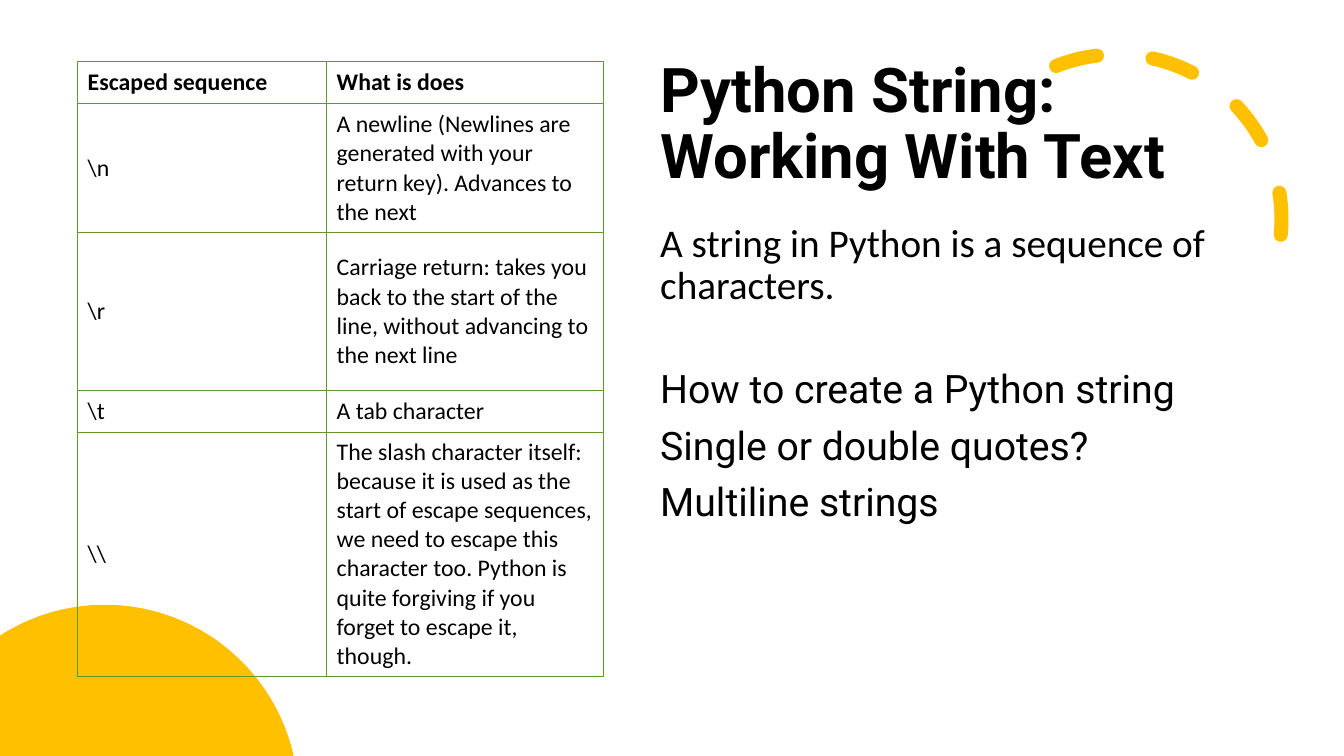
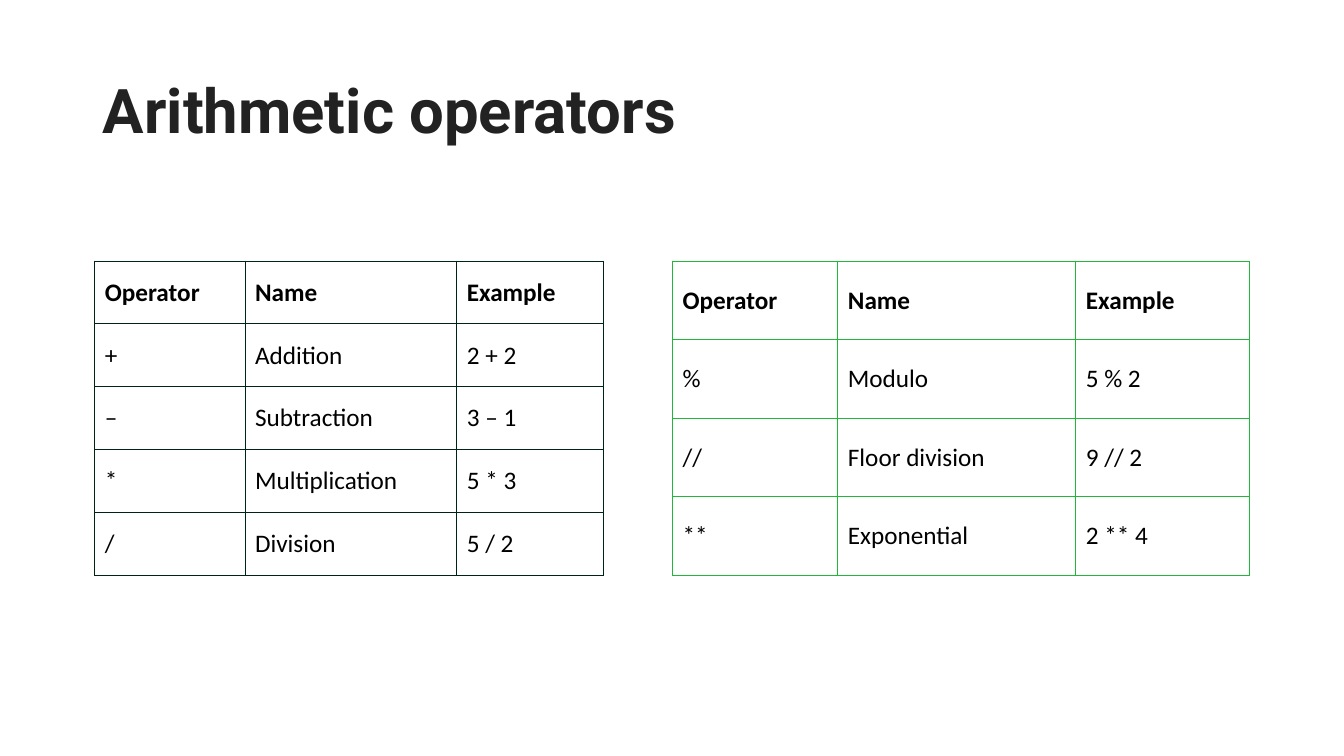
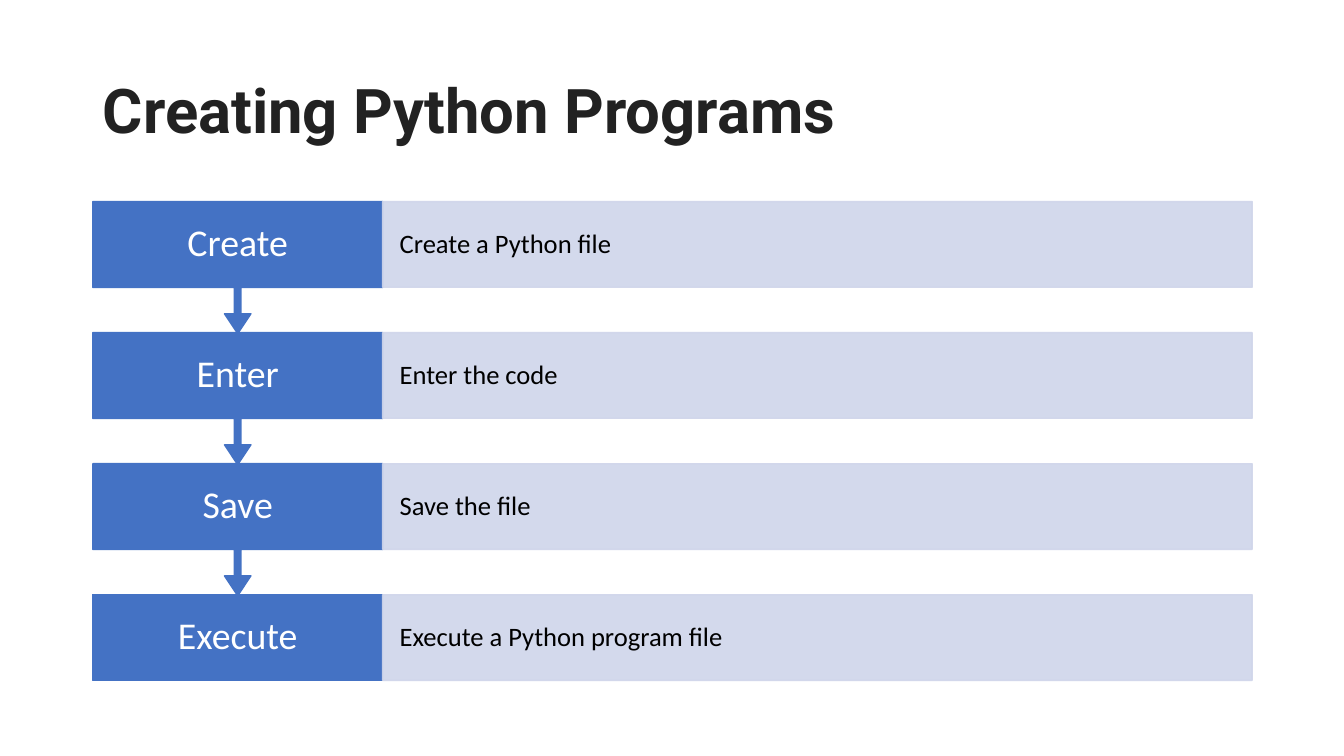
import math
import pptx
import pptx.util
import pptx.dml.color
import pptx.enum.dml
import pptx.enum.shapes
import pptx.enum.text
import pptx.oxml
import pptx.oxml.ns

Inch = pptx.util.Inches
Kind = pptx.enum.shapes.MSO_SHAPE
Align = pptx.enum.text.PP_ALIGN
Anchor = pptx.enum.text.MSO_ANCHOR
qn = pptx.oxml.ns.qn

# Shared look
WIDE, HIGH = 13.33, 7.5
EDGE, SPAN = 0.92, 11.5
HEAD, BODY = "Roboto", "Calibri"
BLACK, DARK, WHITE = "000000", "222222", "FFFFFF"
GOLD, BLUE, PALE = "FFC000", "4472C4", "CFD5EA"

# Content
INTRO = "Python String: Working With Text"
POINTS = [
    ("A string in Python is a sequence of characters.", BODY, 10),
    ("How to create a Python string", HEAD, 44),
    ("Single or double quotes?", HEAD, 10),
    ("Multiline strings", HEAD, 10),
]
ESCAPES = {
    "at": (0.77, 0.61), "cols": (2.47, 2.75), "size": 17, "edge": "60982B",
    "rows": (0.42, 1.28, 1.56, 0.42, 2.42),
    "cells": [
        ("Escaped sequence", "What is does"),
        ("\\n", "A newline (Newlines are generated with your return key). "
                "Advances to the next"),
        ("\\r", "Carriage return: takes you back to the start of the line, "
                "without advancing to the next line"),
        ("\\t", "A tab character"),
        ("\\\\", "The slash character itself: because it is used as the start "
                 "of escape sequences, we need to escape this character too. "
                 "Python is quite forgiving if you forget to escape it, though."),
    ],
}
FIELDS = ("Operator", "Name", "Example")
BASIC = {
    "at": (0.94, 2.59), "cols": (1.49, 2.1, 1.46), "size": 18,
    "edge": "002414", "rows": [3.12 / 5] * 5,
    "cells": [
        FIELDS,
        ("+", "Addition", "2 + 2"),
        ("–", "Subtraction", "3 – 1"),
        ("*", "Multiplication", "5 * 3"),
        ("/", "Division", "5 / 2"),
    ],
}
EXTRA = {
    "at": (6.67, 2.59), "cols": (1.64, 2.36, 1.72), "size": 18,
    "edge": "20B73A", "rows": [3.12 / 4] * 4,
    "cells": [
        FIELDS,
        ("%", "Modulo", "5 % 2"),
        ("//", "Floor division", "9 // 2"),
        ("**", "Exponential", "2 ** 4"),
    ],
}
STEPS = [
    ("Create", "Create a Python file"),
    ("Enter", "Enter the code"),
    ("Save", "Save the file"),
    ("Execute", "Execute a Python program file"),
]


# Helpers
def tint(code):
    return pptx.dml.color.RGBColor.from_string(code)


def write(frame, text, size=18, font=BODY, color=BLACK, bold=False,
          align=Align.LEFT, anchor=Anchor.MIDDLE, lead=0.9, before=0,
          pad=None, more=False):
    """Put one paragraph in a text frame; more=True adds it after the others."""
    frame.word_wrap = True
    frame.vertical_anchor = anchor
    if pad:
        frame.margin_left = frame.margin_right = Inch(pad[0])
        frame.margin_top = frame.margin_bottom = Inch(pad[1])
    para = frame.add_paragraph() if more else frame.paragraphs[0]
    para.alignment, para.line_spacing = align, lead
    para.space_before = pptx.util.Pt(before)
    run = para.add_run()
    run.text = text
    run.font.size, run.font.name = pptx.util.Pt(size), font
    run.font.bold = bold
    run.font.color.rgb = tint(color)


def paint(shape, fill=None, line=None, width=1, alpha=None):
    shape.shadow.inherit = False
    if fill:
        shape.fill.solid()
        shape.fill.fore_color.rgb = tint(fill)
    else:
        shape.fill.background()
    if line:
        shape.line.color.rgb = tint(line)
        shape.line.width = pptx.util.Pt(width)
    else:
        shape.line.fill.background()
    if alpha:
        for node in shape.element.spPr.iter(qn("a:srgbClr")):
            node.append(pptx.oxml.parse_xml(
                f'<a:alpha {pptx.oxml.ns.nsdecls("a")} val="{alpha * 1000}"/>'))


def block(slide, kind, *box):
    return slide.shapes.add_shape(kind, *map(Inch, box))


def page(deck, title, box=(EDGE, 0.4, SPAN, 1.45), color=DARK):
    slide = deck.slides.add_slide(deck.slide_layouts[5])
    head = slide.shapes.title
    head.left, head.top, head.width, head.height = map(Inch, box)
    head.text_frame.auto_size = pptx.enum.text.MSO_AUTO_SIZE.NONE
    write(head.text_frame, title, size=44, font=HEAD, color=color, bold=True)
    return slide


def rule(cell, color, width=0.75):
    props = cell._tc.get_or_add_tcPr()
    for side in "LRTB":
        props.append(pptx.oxml.parse_xml(
            f'<a:ln{side} {pptx.oxml.ns.nsdecls("a")} '
            f'w="{pptx.util.Pt(width)}"><a:solidFill>'
            f'<a:srgbClr val="{color}"/></a:solidFill></a:ln{side}>'))


def grid(slide, data):
    cols, rows, cells = data["cols"], data["rows"], data["cells"]
    box = (*data["at"], sum(cols), sum(rows))
    table = slide.shapes.add_table(len(rows), len(cols), *map(Inch, box)).table
    table.first_row = table.horz_banding = False
    for col, width in zip(table.columns, cols):
        col.width = Inch(width)
    for r, (row, height) in enumerate(zip(table.rows, rows)):
        row.height = Inch(height)
        for cell, text in zip(row.cells, cells[r]):
            write(cell.text_frame, text, size=data["size"], bold=r == 0, lead=1)
            cell.vertical_anchor = Anchor.MIDDLE
            rule(cell, data["edge"])
            cell.fill.background()


def disc(slide, x, y, radius, steps=90):
    """Draw the part of a disc that shows in the lower left corner."""
    first = math.acos(-x / radius)
    last = math.asin((y - HIGH) / radius)
    turns = [first + (last - first) * i / steps for i in range(steps + 1)]
    rim = [(Inch(x + radius * math.cos(t)), Inch(y - radius * math.sin(t)))
           for t in turns]
    path = slide.shapes.build_freeform(0, Inch(HIGH))
    path.add_line_segments(rim, close=True)
    paint(path.convert_to_shape(), GOLD)


def sweep(slide, start=240.7):
    """Draw the dashed arc, from the start angle to a full turn."""
    arc = block(slide, Kind.ARC, 9.44, 0.54, 3.27, 3.27)
    arc.adjustments[0] = start * 0.6
    arc.adjustments[1] = 0
    arc.rotation = 66.1
    paint(arc, line=GOLD, width=10)
    arc.line.dash_style = pptx.enum.dml.MSO_LINE.DASH
    arc.element.spPr.find(qn("a:ln")).set("cap", "rnd")
    arc.element.spPr.find(qn("a:xfrm")).set("flipH", "1")


# Slides
def strings(deck):
    left, width = 6.45, 5.97
    slide = page(deck, INTRO, (left, 0.52, width, 1.45), BLACK)
    sweep(slide)
    disc(slide, 1.04, 7.92, 1.92)
    body = slide.shapes.add_textbox(*map(Inch, (left, 2.17, width, 4.58)))
    for i, (text, font, gap) in enumerate(POINTS):
        write(body.text_frame, text, size=28, font=font, before=gap,
              anchor=Anchor.TOP, more=i > 0)
    grid(slide, ESCAPES)


def maths(deck):
    slide = page(deck, "Arithmetic operators")
    grid(slide, BASIC)
    grid(slide, EXTRA)


def flow(deck):
    slide = page(deck, "Creating Python Programs")
    top, pitch, tall, wide = 2, 1.3, 0.85, SPAN / 4
    final = len(STEPS) - 1
    # Last step first, so that each arrow lies over the step below it
    for i in range(final, -1, -1):
        name, note = STEPS[i]
        y = top + i * pitch
        if i == final:
            step = block(slide, Kind.RECTANGLE, EDGE, y, wide, tall)
        else:
            step = block(slide, Kind.DOWN_ARROW_CALLOUT, EDGE, y, wide,
                         pitch + 0.01)
            for k, share in enumerate((0.05, 0.1, 0.15, 0.65)):
                step.adjustments[k] = share
        paint(step, BLUE, BLUE)
        write(step.text_frame, name, size=27, color=WHITE,
              align=Align.CENTER, pad=(0.2, 0.21))
        bar = block(slide, Kind.RECTANGLE, EDGE + wide, y, SPAN - wide, tall)
        paint(bar, PALE, PALE, alpha=90)
        write(bar.text_frame, note, size=19, pad=(0.17, 0.26))


def main():
    deck = pptx.Presentation()
    deck.slide_width, deck.slide_height = Inch(WIDE), Inch(HIGH)
    for build in (strings, maths, flow):
        build(deck)
    deck.save("out.pptx")


if __name__ == "__main__":
    main()
